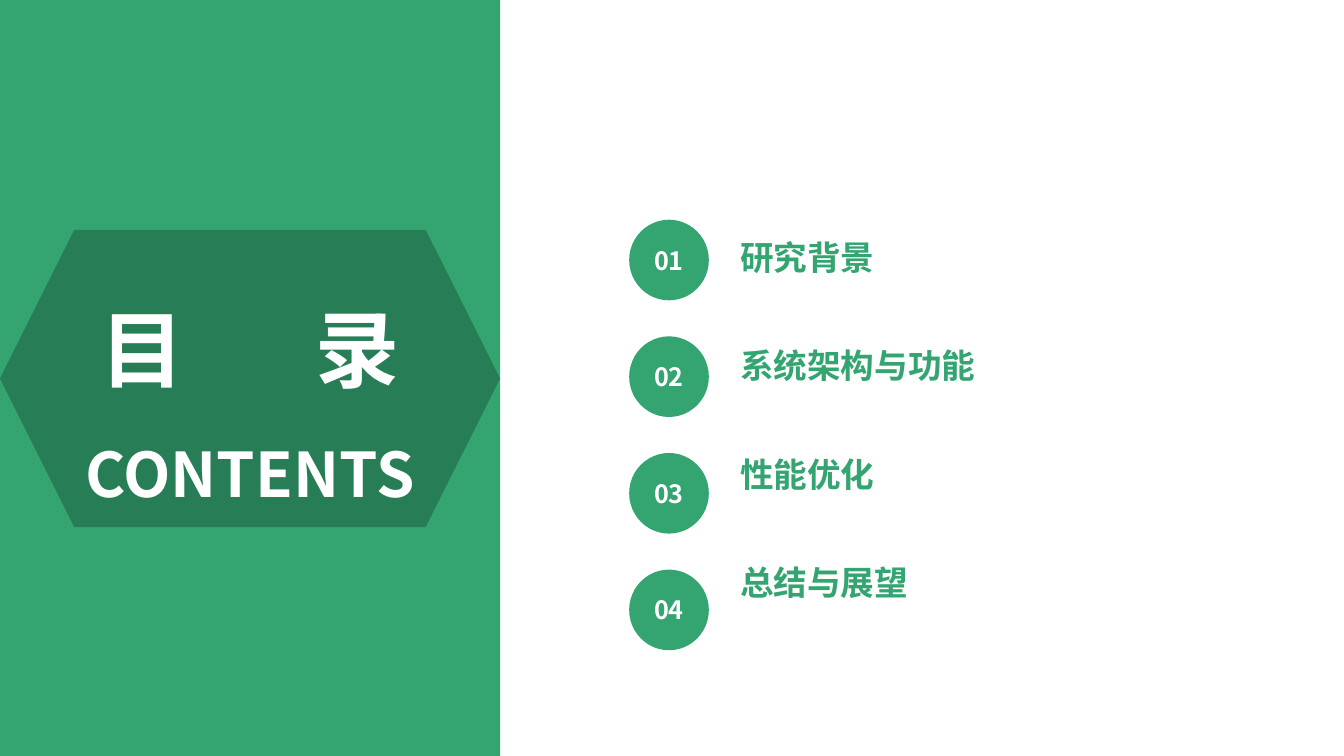
from dataclasses import dataclass

from lxml import etree
from pptx import Presentation
from pptx import util as u
from pptx.dml.color import RGBColor
from pptx.enum import shapes, text
from pptx.oxml import ns


@dataclass(frozen=True)
class Theme:
    green: RGBColor = RGBColor(0x34, 0xA4, 0x71)
    dark_green: RGBColor = RGBColor(0x22, 0x6E, 0x4B)
    white: RGBColor = RGBColor(0xFF, 0xFF, 0xFF)
    font: str = "Noto Sans CJK SC"
    heading: float = 60
    subheading: float = 44
    topic: float = 24
    number: float = 18


THEME = Theme()
TOPICS = ["研究背景", "系统架构与功能", "性能优化", "总结与展望"]
TOPIC_PITCH = 1.157
LINE_HEIGHT = 1.448


def add_run(paragraph, wording, size, color):
    run = paragraph.add_run()
    run.text = wording
    run.font.size = u.Pt(size)
    run.font.bold = True
    run.font.color.rgb = color
    run.font.name = THEME.font
    properties = run.font._element
    east_asian = etree.SubElement(properties, ns.qn("a:ea"))
    east_asian.set("typeface", THEME.font)
    return properties


def add_filled(slide, preset, box, color):
    shape = slide.shapes.add_shape(preset, *map(u.Inches, box))
    shape.shadow.inherit = False
    shape.fill.solid()
    shape.fill.fore_color.rgb = color
    shape.line.fill.background()
    return shape


def place(shape, box):
    shape.left, shape.top, shape.width, shape.height = map(u.Inches, box)


def prepare_frame(shape, anchor, inset_x=0, inset_y=0):
    frame = shape.text_frame
    frame.word_wrap = True
    frame.auto_size = text.MSO_AUTO_SIZE.NONE
    frame.vertical_anchor = anchor
    frame.margin_left = frame.margin_right = u.Inches(inset_x)
    frame.margin_top = frame.margin_bottom = u.Inches(inset_y)
    return frame


def build_heading_panel(slide, box):
    left, top, width, height = box
    add_filled(slide, shapes.MSO_SHAPE.RECTANGLE, box, THEME.green)

    badge_top, badge_height = top + 2.28, 2.95
    badge = add_filled(slide, shapes.MSO_SHAPE.HEXAGON,
                       (left, badge_top, width, badge_height), THEME.dark_green)
    color = badge.fill._xPr.find(".//" + ns.qn("a:srgbClr"))
    etree.SubElement(color, ns.qn("a:alpha")).set("val", "70000")

    title = slide.shapes.title
    overhang = 0.3
    place(title, (left, badge_top - overhang, width, badge_height + 2 * overhang))
    slide.shapes._spTree.append(title._element)
    frame = prepare_frame(title, text.MSO_ANCHOR.MIDDLE)
    chinese, english = frame.paragraphs[0], frame.add_paragraph()
    for paragraph in (chinese, english):
        paragraph.alignment = text.PP_ALIGN.CENTER
        paragraph.line_spacing = 1.5
        paragraph.space_before = u.Pt(0)
    add_run(chinese, "目", THEME.heading, THEME.white)
    gap = add_run(chinese, " ", THEME.heading, THEME.white)
    gap.set("spc", "8060")
    add_run(chinese, "录", THEME.heading, THEME.white)
    add_run(english, "CONTENTS", THEME.subheading, THEME.white)


def build_topics(slide, box):
    left, top, width, height = box
    topics = slide.placeholders[1]
    place(topics, (left + 1, top + 0.12, width - 1, height - 0.12))
    frame = prepare_frame(topics, text.MSO_ANCHOR.TOP, 0.1, 0.05)
    gap = TOPIC_PITCH * 72 - THEME.topic * LINE_HEIGHT

    for index, topic in enumerate(TOPICS):
        circle = add_filled(slide, shapes.MSO_SHAPE.OVAL,
                            (left, top + index * TOPIC_PITCH, 0.79, 0.8), THEME.green)
        number = prepare_frame(circle, text.MSO_ANCHOR.MIDDLE).paragraphs[0]
        number.alignment = text.PP_ALIGN.CENTER
        add_run(number, f"{index + 1:02d}", THEME.number, THEME.white)

        line = frame.add_paragraph() if index else frame.paragraphs[0]
        properties = line._p.get_or_add_pPr()
        properties.set("marL", "0")
        properties.set("indent", "0")
        etree.SubElement(properties, ns.qn("a:buNone"))
        line.alignment = text.PP_ALIGN.LEFT
        line.line_spacing = 1.0
        line.space_before = u.Pt(gap if index else 0)
        add_run(line, topic, THEME.topic, THEME.green)


def main():
    deck = Presentation()
    deck.slide_width, deck.slide_height = u.Inches(13.33), u.Inches(7.5)
    slide = deck.slides.add_slide(deck.slide_layouts[1])
    build_heading_panel(slide, (0, 0, 4.96, 7.5))
    build_topics(slide, (6.24, 2.18, 5.87, 4.27))
    deck.save("out.pptx")


if __name__ == "__main__":
    main()
